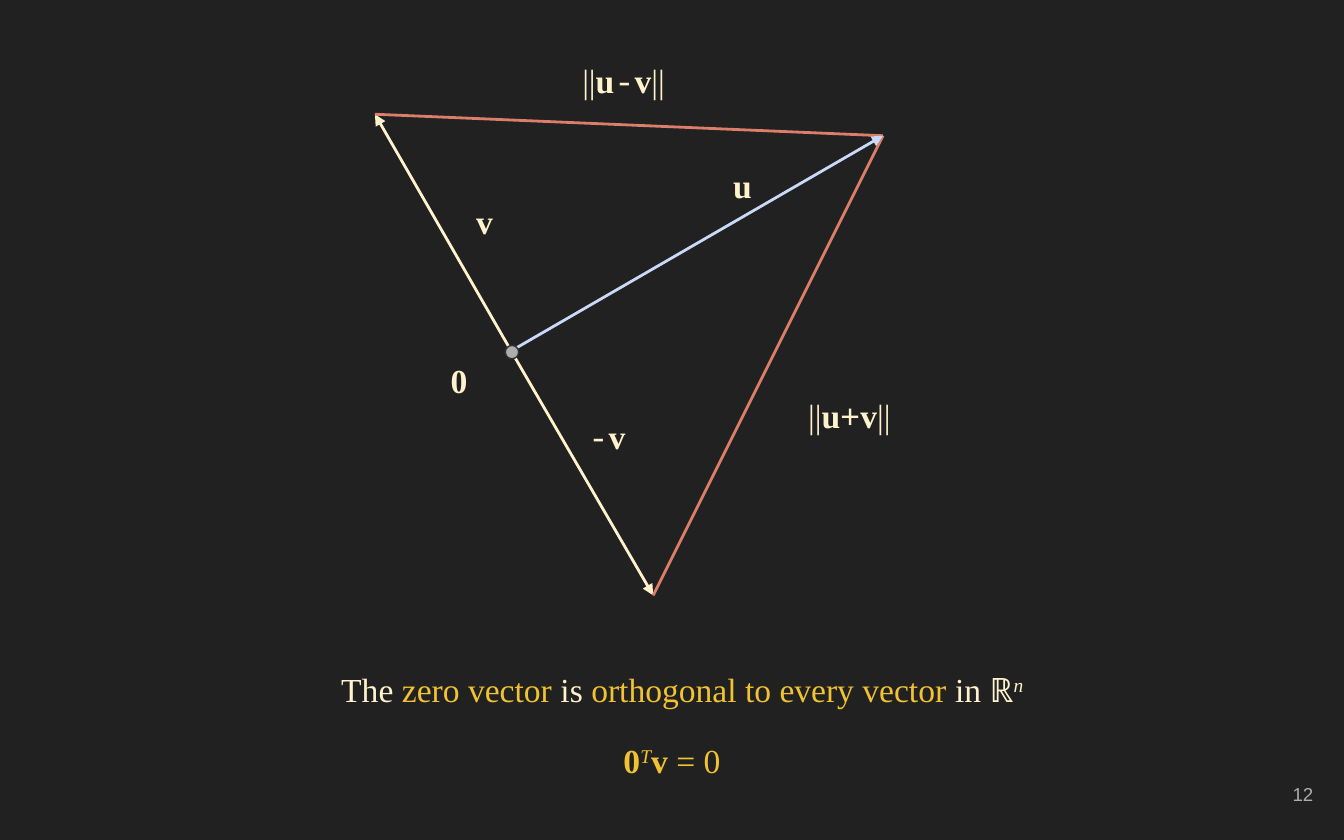
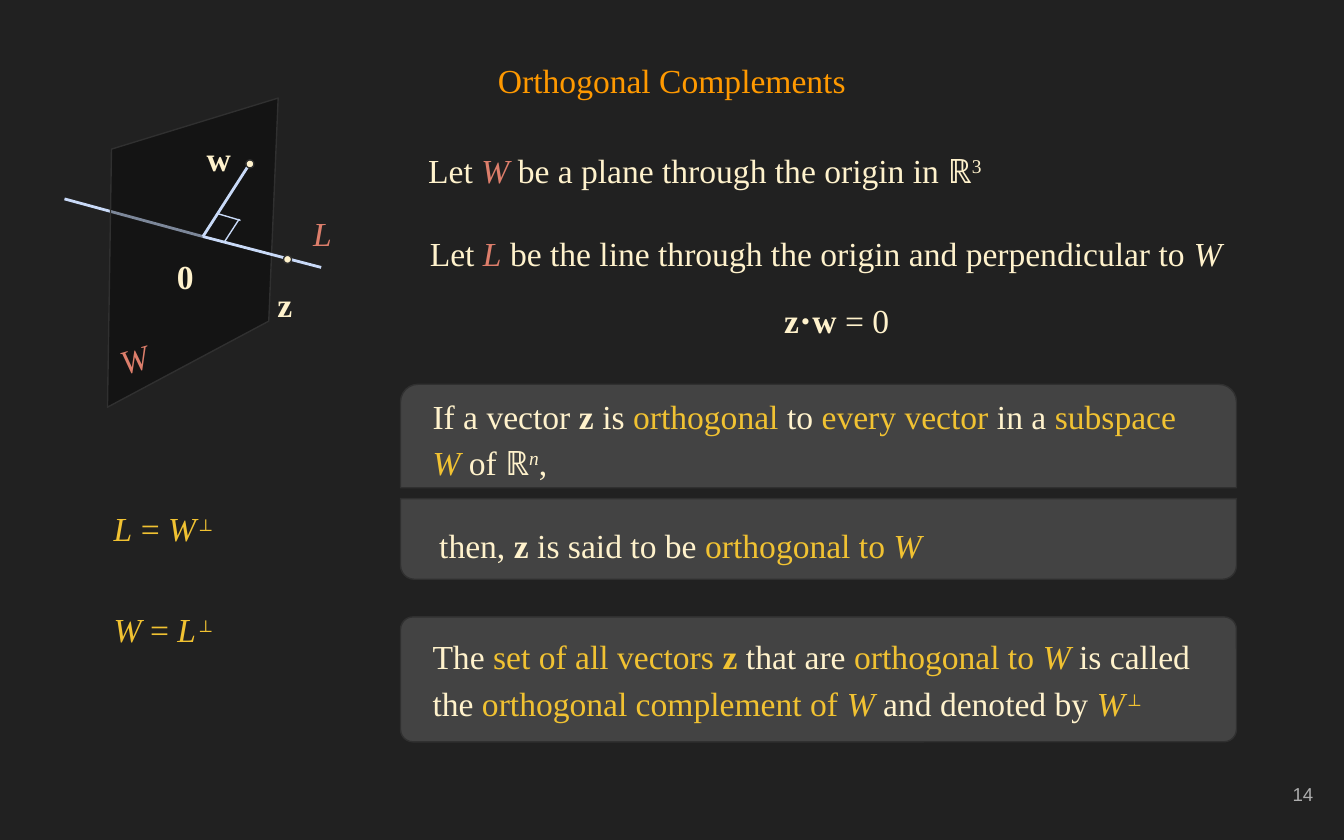
from lxml.etree import SubElement
from pptx import Presentation
from pptx.dml.color import RGBColor
from pptx.enum.shapes import MSO_CONNECTOR as Connector, MSO_SHAPE as Preset
from pptx.enum.text import MSO_ANCHOR as Anchor, MSO_AUTO_SIZE as AutoSize, PP_ALIGN as Align
from pptx.oxml.ns import qn
from pptx.util import Inches, Pt

COLOURS = {
    "background": "212121",
    "cream": "FFF2CC",
    "gold": "F1C232",
    "coral": "DD7E6B",
    "sky": "C9DAF8",
    "orange": "FF9900",
    "grey": "ADADAD",
    "card": "434343",
    "outline": "303030",
    "black": "000000",
}
RGB = {name: RGBColor.from_string(value) for name, value in COLOURS.items()}

FRAME = {"word_wrap": True, "auto_size": AutoSize.NONE}
FRAME.update({f"margin_{side}": Inches(0.1) for side in ("left", "right", "top", "bottom")})
TEXT = {"name": "Times New Roman", "size": Pt(18), "bold": False, "italic": False}
VARIANTS = {
    "b": {"bold": True},
    "i": {"italic": True},
    "m": {"name": "Courier New"},
    "s": {"name": "Arial", "size": Pt(10)},
    "^": {},
}


def write(holder, box, runs, align=Align.CENTER, anchor=Anchor.TOP, spacing=1.15):
    holder.left, holder.top, holder.width, holder.height = map(Inches, box)
    frame = holder.text_frame
    for key, value in {**FRAME, "vertical_anchor": anchor}.items():
        setattr(frame, key, value)
    paragraph = frame.paragraphs[0]
    paragraph.alignment = align
    paragraph.line_spacing = spacing
    for words, colour, flags in runs:
        run = paragraph.add_run()
        run.text = words
        look = dict(TEXT)
        for flag in flags:
            look.update(VARIANTS[flag])
        for key, value in look.items():
            setattr(run.font, key, value)
        run.font.color.rgb = RGB[colour]
        if "^" in flags:
            run._r.get_or_add_rPr().set("baseline", "30000")


def draw_line(slide, start, end, colour, width=1.5, arrow=False):
    line = slide.shapes.add_connector(Connector.STRAIGHT, *map(Inches, start + end))
    line.line.color.rgb = RGB[colour]
    line.line.width = Pt(width)
    if arrow:
        SubElement(line.line._get_or_add_ln(), qn("a:tailEnd"), type="triangle")
    SubElement(line._element.spPr, qn("a:effectLst"))


prs = Presentation()
prs.slide_width, prs.slide_height = Inches(10), Inches(6.25)
backdrop = prs.slide_master.background.fill
backdrop.solid()
backdrop.fore_color.rgb = RGB["background"]

triangle = prs.slides.add_slide(prs.slide_layouts[6])
complements = prs.slides.add_slide(prs.slide_layouts[5])

write(complements.shapes.title, (0.34, 0.3, 9.32, 0.48),
      [("Orthogonal Complements", "orange", "")])

zero, v_tip, minus_v_tip, u_tip = (3.82, 2.64), (2.79, 0.85), (4.86, 4.43), (6.57, 1.01)
draw_line(triangle, zero, minus_v_tip, "cream", arrow=True)
draw_line(triangle, zero, v_tip, "cream", arrow=True)
draw_line(triangle, u_tip, v_tip, "coral")
draw_line(triangle, u_tip, minus_v_tip, "coral")
draw_line(triangle, (3.84, 2.59), u_tip, "sky", arrow=True)

origin = (1.51, 1.76)
draw_line(complements, origin, (0.48, 1.48), "sky")
outline = complements.shapes.build_freeform(Inches(0.83), Inches(1.11))
outline.add_line_segments([(Inches(x), Inches(y)) for x, y in ((0.8, 3.03), (2, 2.39), (2.07, 0.73))])
plane = outline.convert_to_shape()
draw_line(complements, origin, (2.39, 1.99), "sky")
draw_line(complements, origin, (1.85, 1.23), "sky")
draw_line(complements, (1.62, 1.59), (1.79, 1.64), "sky", 0.75)
draw_line(complements, (1.78, 1.63), (1.67, 1.8), "sky", 0.75)

figures = [(plane, "black")]
for slide, preset, box, colour, corners, turn in [
    (triangle, Preset.OVAL, (3.76, 2.57, 0.1, 0.1), "grey", [], 0),
    (complements, Preset.OVAL, (1.83, 1.19, 0.06, 0.06), "cream", [], 0),
    (complements, Preset.OVAL, (2.11, 1.9, 0.06, 0.06), "cream", [], 0),
    (complements, Preset.ROUND_2_SAME_RECTANGLE, (2.98, 2.86, 6.22, 0.77), "card", [0.17, 0], 0),
    (complements, Preset.ROUND_2_SAME_RECTANGLE, (2.98, 3.71, 6.22, 0.6), "card", [0.17, 0], 180),
    (complements, Preset.ROUNDED_RECTANGLE, (2.98, 4.59, 6.22, 0.93), "card", [0.1], 0),
]:
    figure = slide.shapes.add_shape(preset, *map(Inches, box))
    figure.rotation = turn
    for index, corner in enumerate(corners):
        figure.adjustments[index] = corner
    figures.append((figure, colour))

for figure, colour in figures:
    figure.shadow.inherit = False
    figure.fill.solid()
    figure.fill.fore_color.rgb = RGB[colour]
    figure.line.color.rgb = RGB["outline"]
    figure.line.width = Pt(0.75)
plane_colour = plane._element.spPr.find(qn("a:solidFill")).find(qn("a:srgbClr"))
SubElement(plane_colour, qn("a:alpha"), val="38000")

for slide, number in ((triangle, "12"), (complements, "14")):
    write(slide.shapes.add_textbox(0, 0, 0, 0), (9.27, 5.67, 0.6, 0.48),
          [(number, "grey", "s")], Align.RIGHT, Anchor.MIDDLE, 1)

for box, runs in [
    ((4.12, 3.01, 0.79, 0.43), [("-", "cream", "m"), ("v", "cream", "b")]),
    ((3.21, 1.41, 0.79, 0.43), [("v", "cream", "b")]),
    ((5.13, 1.14, 0.79, 0.43), [("u", "cream", "b")]),
    ((3.02, 2.59, 0.79, 0.43), [("0", "cream", "b")]),
    ((4.35, 5.39, 1.3, 0.48), [
        ("0", "gold", "b"), ("T", "gold", "i^"), ("v ", "gold", "b"), ("= 0", "gold", "")]),
]:
    write(triangle.shapes.add_textbox(0, 0, 0, 0), box, runs, anchor=Anchor.MIDDLE)

for left, top, sign in ((4.06, 0.36, "-"), (5.74, 2.85, "+")):
    write(triangle.shapes.add_textbox(0, 0, 0, 0), (left, top, 1.16, 0.43), [
        ("||", "cream", ""), ("u", "cream", "b"), (sign, "cream", "m"),
        ("v", "cream", "b"), ("||", "cream", "")], anchor=Anchor.MIDDLE)

write(triangle.shapes.add_textbox(0, 0, 0, 0), (2.13, 4.83, 5.93, 0.61), [
    ("The ", "cream", ""), ("zero vector", "gold", ""), (" is ", "cream", ""),
    ("orthogonal to every vector", "gold", ""), (" in ℝ", "cream", ""), ("n ", "cream", "i^")])

for left, top, letter, colour, flag, turn in [
    (1.21, 1.76, "0", "cream", "b", 0),
    (0.8, 2.38, "W", "coral", "i", 343.6),
    (2.23, 1.44, "L", "coral", "i", 0),
    (1.44, 0.88, "w", "cream", "b", 0),
    (1.95, 1.97, "z", "cream", "b", 0),
]:
    label = complements.shapes.add_textbox(0, 0, 0, 0)
    write(label, (left, top, 0.34, 0.61), [(letter, colour, flag)])
    label.rotation = turn

for box, align, runs in [
    ((2.57, 0.97, 5.35, 0.61), Align.CENTER, [
        ("Let ", "cream", ""), ("W", "coral", "i"),
        (" be a plane through the origin in ℝ", "cream", ""), ("3", "cream", "^")]),
    ((3.1, 1.59, 6.24, 0.61), Align.LEFT, [
        ("Let ", "cream", ""), ("L", "coral", "i"),
        (" be the line through the origin and perpendicular to ", "cream", ""),
        ("W", "cream", "i")]),
    ((5.32, 2.09, 1.81, 0.42), Align.CENTER, [("z⋅w", "cream", "b"), (" = 0", "cream", "")]),
    ((3.12, 2.8, 5.93, 0.7), Align.LEFT, [
        ("If a vector ", "cream", ""), ("z", "cream", "b"), (" is ", "cream", ""),
        ("orthogonal ", "gold", ""), ("to ", "cream", ""), ("every vector", "gold", ""),
        (" in a ", "cream", ""), ("subspace ", "gold", ""), ("W", "gold", "i"),
        (" of ℝ", "cream", ""), ("n", "cream", "i^"), (",", "cream", "")]),
    ((3.17, 3.76, 5.93, 0.52), Align.LEFT, [
        ("then, ", "cream", ""), ("z", "cream", "b"), (" is said to be ", "cream", ""),
        ("orthogonal to ", "gold", ""), ("W", "gold", "i")]),
    ((3.12, 4.59, 5.93, 0.81), Align.LEFT, [
        ("The ", "cream", ""), ("set of all vectors ", "gold", ""), ("z", "gold", "b"),
        (" that are ", "cream", ""), ("orthogonal to ", "gold", ""), ("W", "gold", "i"),
        (" is called the ", "cream", ""), ("orthogonal complement of ", "gold", ""),
        ("W", "gold", "i"), (" and denoted by ", "cream", ""),
        ("W", "gold", "i"), ("⊥", "gold", "^")]),
]:
    write(complements.shapes.add_textbox(0, 0, 0, 0), box, runs, align)

for top, subspace, other in ((3.61, "L", "W"), (4.36, "W", "L")):
    write(complements.shapes.add_textbox(0, 0, 0, 0), (0.67, top, 1.11, 0.6), [
        (subspace, "gold", "i"), (" = ", "gold", ""),
        (other, "gold", "i"), ("⊥", "gold", "^")], anchor=Anchor.MIDDLE)

prs.save("out.pptx")
